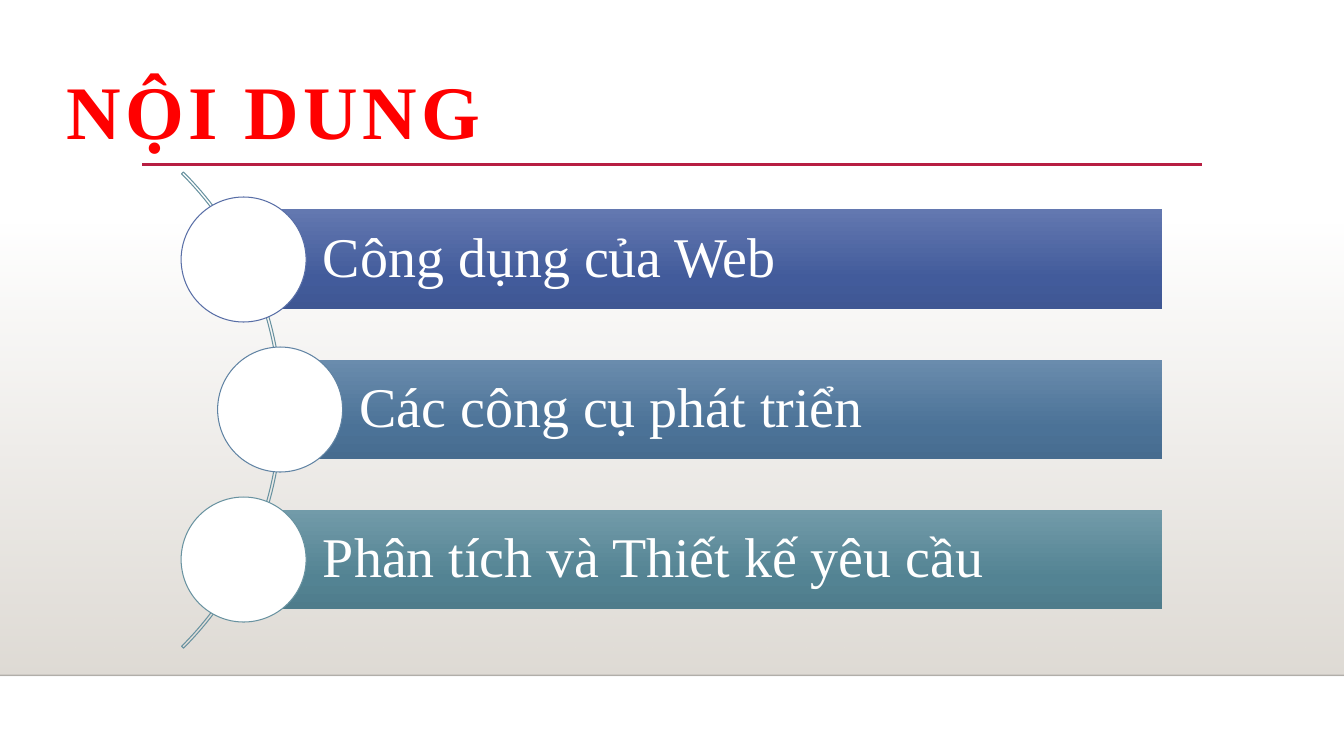
from lxml import etree
from pptx import Presentation
from pptx import util as u
from pptx.dml.color import RGBColor
from pptx.enum import shapes, text
from pptx.oxml import parse_xml
from pptx.oxml.ns import nsdecls, qn

Cm = u.Cm
WIDTH = 33.87
HUES = {
    "white": "FFFFFF", "red": "FF0000", "rule": "B71E42",
    "edge": "000001", "sand": "DFDBD5", "arc": "6892A0",
}
ITEMS = [
    ("Công dụng của Web", 6.14, ["6378B0", "425B9B", "3F5793"], "586EA6"),
    ("Các công cụ phát triển", 7.06, ["6A8CAD", "4B7297", "476C8F"], "6083A3"),
    ("Phân tích và Thiết kế yêu cầu", 6.14, ["729BA9", "538393", "4F7C8B"], "6892A0"),
]


class Deck:
    font = "Times New Roman"

    def __init__(self, slide):
        self.slide = slide

    def shape(self, kind, box, fill=None, line=None):
        item = self.slide.shapes.add_shape(kind, *map(Cm, box))
        item.shadow.inherit = False
        if fill:
            item.fill.solid()
            item.fill.fore_color.rgb = RGBColor.from_string(fill)
        else:
            item.fill.background()
        if line:
            item.line.color.rgb = RGBColor.from_string(line)
            item.line.width = u.Pt(0.75)
        else:
            item.line.fill.background()
        return item

    def blend(self, box, stops):
        item = self.shape(shapes.MSO_SHAPE.RECTANGLE, box)
        marks = "".join(
            f'<a:gs pos="{pos * 1000}"><a:srgbClr val="{hue}">'
            f'<a:alpha val="{alpha * 1000}"/></a:srgbClr></a:gs>'
            for pos, hue, alpha in stops)
        grad = parse_xml(
            f'<a:gradFill {nsdecls("a")} rotWithShape="1"><a:gsLst>{marks}</a:gsLst>'
            '<a:lin ang="5400000" scaled="0"/></a:gradFill>')
        props = item._element.spPr
        props.replace(props.find(qn("a:noFill")), grad)
        return item

    def line(self, left, right, top, hue, width, alpha=100):
        item = self.slide.shapes.add_connector(
            shapes.MSO_CONNECTOR.STRAIGHT, Cm(left), Cm(top), Cm(right), Cm(top))
        item.line.color.rgb = RGBColor.from_string(hue)
        item.line.width = u.Pt(width)
        props = item._element.spPr
        if alpha < 100:
            tint = next(props.iter(qn("a:srgbClr")))
            etree.SubElement(tint, qn("a:alpha")).set("val", str(alpha * 1000))
        etree.SubElement(props, qn("a:effectLst"))

    def label(self, item, words, size, hue, align, bold=False):
        frame = item.text_frame
        frame.word_wrap = True
        frame.vertical_anchor = text.MSO_ANCHOR.MIDDLE
        para = frame.paragraphs[0]
        para.alignment = align
        run = para.add_run()
        run.text = words
        run.font.name = self.font
        run.font.size = u.Pt(size)
        run.font.bold = bold
        run.font.color.rgb = RGBColor.from_string(hue)
        return para, run

    def title(self, words, box):
        item = self.slide.shapes.title
        item.left, item.top, item.width, item.height = map(Cm, box)
        para, run = self.label(
            item, words, 54, HUES["red"], text.PP_ALIGN.CENTER, True)
        para.line_spacing = 1
        props = run.font._element
        props.set("spc", "300")
        props.insert(0, parse_xml(
            f'<a:ln {nsdecls("a")} w="9525"><a:solidFill>'
            f'<a:srgbClr val="{HUES["white"]}"/></a:solidFill></a:ln>'))

    def bar(self, words, box, hues):
        item = self.blend(box, [(pos, hue, 100) for pos, hue in zip((0, 69, 100), hues)])
        para, run = self.label(item, words, 40, HUES["white"], text.PP_ALIGN.LEFT)
        para.line_spacing = 0.9
        frame = item.text_frame
        frame.margin_left = Cm(2)
        frame.margin_top = frame.margin_right = frame.margin_bottom = Cm(0.28)


show = Presentation()
show.slide_width, show.slide_height = Cm(WIDTH), Cm(19.05)
deck = Deck(show.slides.add_slide(show.slide_layouts[5]))
deck.slide.background.fill.solid()
deck.slide.background.fill.fore_color.rgb = RGBColor.from_string(HUES["white"])

deck.blend((0, 5.61, WIDTH, 11.41), [(0, HUES["sand"], 0), (100, HUES["sand"], 100)])
deck.line(0, WIDTH, 17.02, HUES["edge"], 1, 20)
deck.line(3.58, 30.28, 4.14, HUES["rule"], 2.5)

arc = deck.shape(
    shapes.MSO_SHAPE.BLOCK_ARC, (-9.86, 1.85, 16.97, 16.97), line=HUES["arc"])
for spot, value in enumerate((189, 27, 0.004)):
    arc.adjustments[spot] = value

TOP, STEP, HIGH, DISC, RIGHT = 5.28, 3.78, 2.52, 3.15, 29.28
for row, (words, left, hues, rim) in enumerate(ITEMS):
    top = TOP + row * STEP
    deck.bar(words, (left, top, RIGHT - left, HIGH), hues)
    deck.shape(
        shapes.MSO_SHAPE.OVAL,
        (left - DISC / 2, top + (HIGH - DISC) / 2, DISC, DISC), HUES["white"], rim)

deck.title("NỘI DUNG", (0.94, 1.47, 11.91, 2.57))
show.save("out.pptx")
